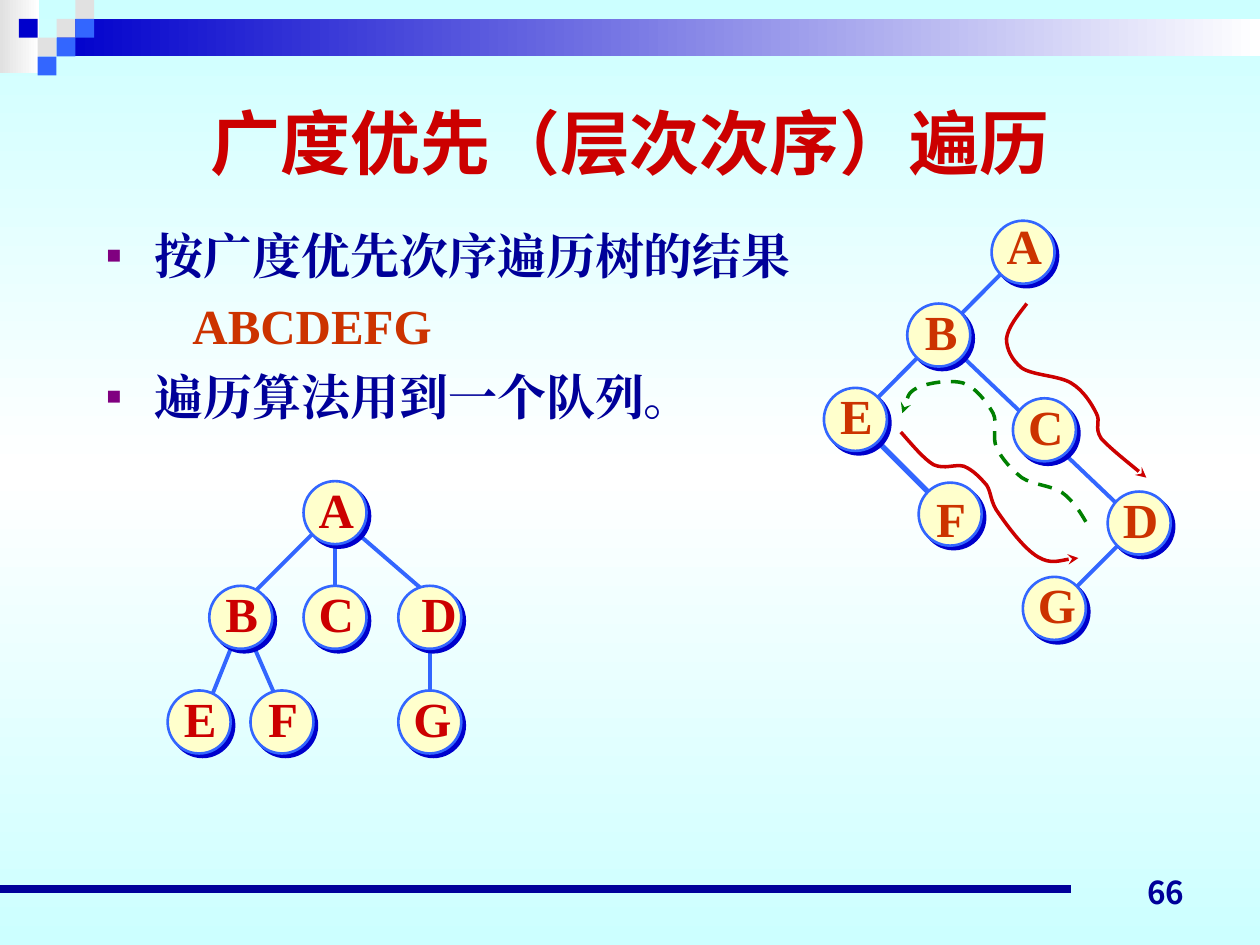
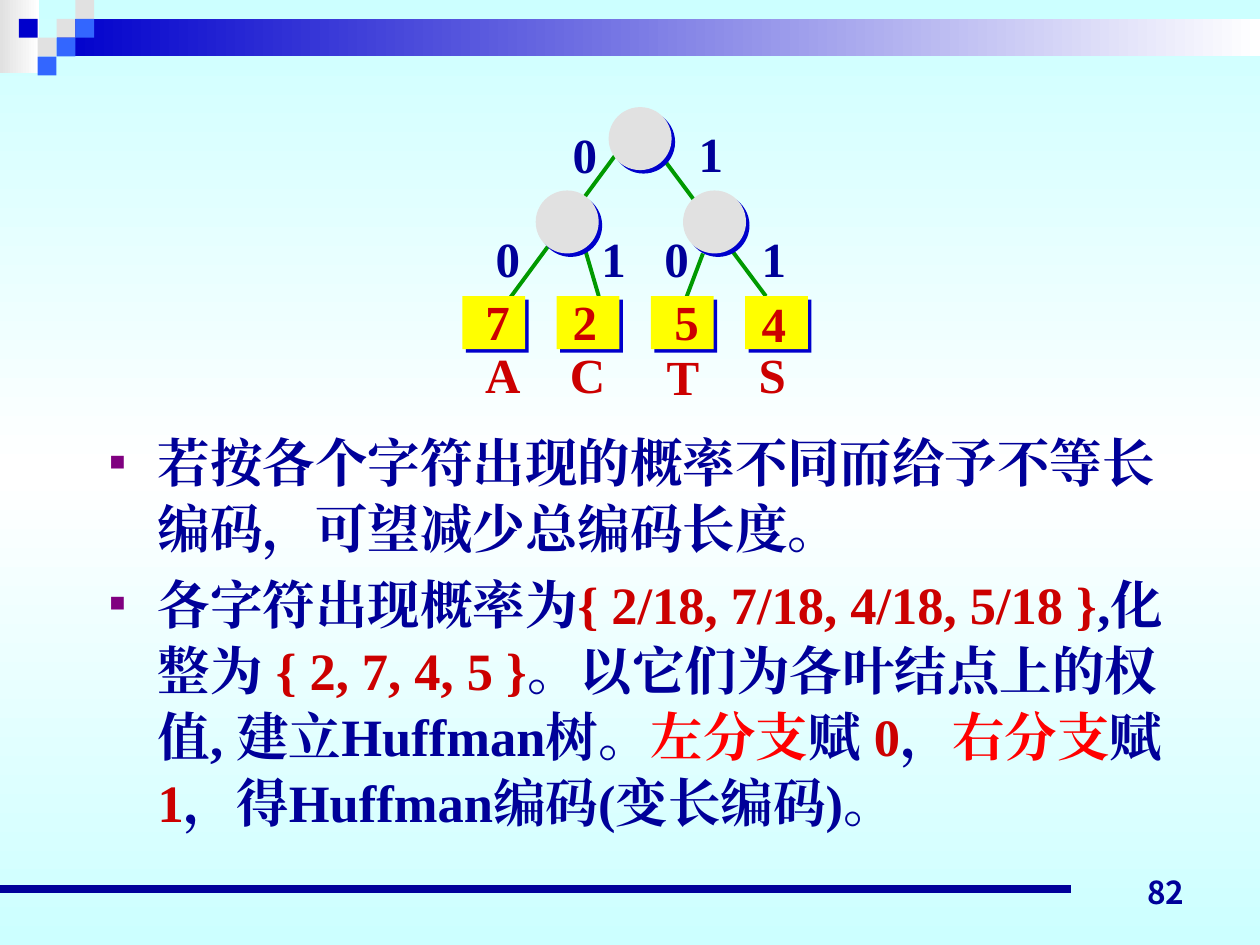
from copy import deepcopy
from dataclasses import dataclass
from typing import NamedTuple

from lxml.etree import SubElement
from pptx import Presentation
from pptx.dml.color import RGBColor
from pptx.enum.dml import MSO_LINE_DASH_STYLE as Dash
from pptx.enum.shapes import MSO_CONNECTOR as Link, MSO_SHAPE as Preset
from pptx.enum.text import MSO_ANCHOR as Anchor, MSO_AUTO_SIZE as AutoSize, PP_ALIGN as Align
from pptx.oxml.ns import qn
from pptx.util import Cm, Pt


@dataclass(frozen=True)
class Theme:
    sans: str = "Noto Sans CJK JP"
    serif: str = "Times New Roman"
    navy: str = "000099"
    blue: str = "0000CC"
    sky: str = "3366FF"
    grey: str = "E1E1E1"
    white: str = "FFFFFF"
    cyan: str = "CCFFFF"
    cream: str = "FFFFCC"
    yellow: str = "FFFF00"
    crimson: str = "CC0000"
    red: str = "FF0000"
    orange: str = "CC3300"
    purple: str = "800080"
    green: str = "009900"
    dark_green: str = "008000"
    title_size: float = 40
    huffman_size: float = 30
    text_size: float = 28
    number_size: float = 18


T = Theme()
NODE = 1.27  # diameter of a tree node, cm
LEAF_HEIGHT = 1.07


class Box(NamedTuple):
    left: float
    top: float
    width: float
    height: float


class Node(NamedTuple):
    """A tree node; dx and dy shift its letter from the centre."""
    label: str
    left: float
    top: float
    dx: float = 0.02
    dy: float = -0.08


class Edge(NamedTuple):
    x1: float
    y1: float
    x2: float
    y2: float
    weight: float = 2.25


class Label(NamedTuple):
    text: str
    x: float
    y: float
    color: str


class Walk(NamedTuple):
    """A curved arrow: a start, then three Bézier points per segment."""
    color: str
    dashed: bool
    points: list[tuple[float, float]]


class Item(NamedTuple):
    runs: list[tuple[str, str]]
    bullet: bool = True


# ---- Drawing helpers ----
def rgb(color: str) -> RGBColor:
    return RGBColor.from_string(color)


def place(box: Box) -> list[Cm]:
    return [Cm(length) for length in box]


def style_run(run, size: float, color: str, font: str = T.serif) -> None:
    run.font.size, run.font.bold, run.font.name = Pt(size), True, font
    run.font.color.rgb = rgb(color)
    SubElement(run._r.get_or_add_rPr(), qn("a:ea"), typeface=font)


def paint_gradient(fill, owner, colors: list[str], angle: float) -> None:
    fill.gradient()
    fill.gradient_angle = angle
    stops = owner.find(".//" + qn("a:gsLst"))
    for _ in colors[2:]:
        stops.append(deepcopy(stops[0]))
    for index, (stop, color) in enumerate(zip(fill.gradient_stops, colors)):
        stop.position = index / (len(colors) - 1)
        stop.color.rgb = rgb(color)


def add_block(slide, preset, box: Box, fill: str, outline: str = "", shadow: bool = False):
    block = slide.shapes.add_shape(preset, *place(box))
    block.shadow.inherit = False
    block.fill.solid()
    block.fill.fore_color.rgb = rgb(fill)
    if outline:
        block.line.color.rgb = rgb(outline)
        block.line.width = Pt(1.5)
    else:
        block.line.fill.background()
    if shadow:
        effects = block._element.spPr.find(qn("a:effectLst"))
        outer = SubElement(effects, qn("a:outerShdw"), blurRad="0", dist=str(Pt(2.8)),
                           dir="2700000", algn="ctr", rotWithShape="0")
        SubElement(outer, qn("a:srgbClr"), val=T.blue)
    return block


def add_edge(slide, edge: Edge, color: str) -> None:
    ends = [Cm(length) for length in edge[:4]]
    branch = slide.shapes.add_connector(Link.STRAIGHT, *ends)
    branch.line.color.rgb = rgb(color)
    branch.line.width = Pt(edge.weight)
    SubElement(branch._element.spPr, qn("a:effectLst"))


def add_label(slide, label: Label) -> None:
    width, height = 1.2, 1.45
    box = Box(label.x - width / 2, label.y - height / 2, width, height)
    frame = slide.shapes.add_textbox(*place(box)).text_frame
    frame.word_wrap, frame.auto_size = False, AutoSize.SHAPE_TO_FIT_TEXT
    frame.vertical_anchor = Anchor.MIDDLE
    frame.text = label.text
    frame.paragraphs[0].alignment = Align.CENTER
    style_run(frame.paragraphs[0].runs[0], T.text_size, label.color)


def add_tree(slide, nodes: list[Node], edges: list[Edge], color: str) -> None:
    for edge in edges:
        add_edge(slide, edge, T.sky)
    for node in nodes:
        add_block(slide, Preset.OVAL, Box(node.left, node.top, NODE, NODE), T.cream, T.sky, True)
        add_label(slide, Label(node.label, node.left + NODE / 2 + node.dx,
                               node.top + NODE / 2 + node.dy, color))


def add_walk(slide, walk: Walk) -> None:
    start, *rest = [(Cm(x), Cm(y)) for x, y in walk.points]
    builder = slide.shapes.build_freeform(*start)
    builder.add_line_segments(rest, close=False)
    arrow = builder.convert_to_shape()
    arrow.shadow.inherit = False
    arrow.fill.background()
    arrow.line.color.rgb = rgb(walk.color)
    arrow.line.width = Pt(2)
    if walk.dashed:
        arrow.line.dash_style = Dash.DASH
    SubElement(arrow.line._get_or_add_ln(), qn("a:tailEnd"), type="stealth")
    # Turn every three straight steps into one cubic segment
    outline = arrow._element.find(".//" + qn("a:path"))
    steps = outline.findall(qn("a:lnTo"))
    for first in range(0, len(steps), 3):
        curve = SubElement(outline, qn("a:cubicBezTo"))
        for step in steps[first:first + 3]:
            curve.append(step[0])
            outline.remove(step)


def add_items(slide, box: Box, items: list[Item], size: float, gap: float,
              spacing: float = 1.0) -> None:
    frame = slide.shapes.add_textbox(*place(box)).text_frame
    frame.word_wrap = True
    for index, item in enumerate(items):
        paragraph = frame.add_paragraph() if index else frame.paragraphs[0]
        props = paragraph._p.get_or_add_pPr()
        if item.bullet:
            props.set("marL", str(Cm(0.97)))
            props.set("indent", str(Cm(-0.97)))
            SubElement(SubElement(props, qn("a:buClr")), qn("a:srgbClr"), val=T.purple)
            SubElement(props, qn("a:buSzPct"), val="50000")
            SubElement(props, qn("a:buFont"), typeface=T.serif)
            SubElement(props, qn("a:buChar"), char="■")
        else:
            props.set("marL", str(Cm(1.73)))
        paragraph.line_spacing = spacing
        if index:
            paragraph.space_before = Pt(gap)
        for text, color in item.runs:
            run = paragraph.add_run()
            run.text = text
            style_run(run, size, color)


# ---- Shared frame: header band, checker squares, footer ----
CHECKER = [(3, 1, T.grey), (4, 0, T.grey), (4, 1, T.sky), (2, 2, T.grey),
           (1, 1, T.blue), (3, 2, T.sky), (2, 3, T.sky)]
SQUARE = 0.38


def add_frame(slide, number: int) -> None:
    for box, color in [(Box(0, 0, 0.79, 1.47), T.grey), (Box(1.14, 0.38, 24.26, 0.76), T.blue)]:
        band = add_block(slide, Preset.RECTANGLE, box, color)
        paint_gradient(band.fill, band._element, [color, T.white], 0)
    for column, row, color in CHECKER:
        box = Box(column * SQUARE, row * SQUARE, SQUARE, SQUARE)
        add_block(slide, Preset.RECTANGLE, box, color)
    add_edge(slide, Edge(0, 17.93, 21.59, 17.93, 4.5), T.navy)
    frame = slide.shapes.add_textbox(*place(Box(18.21, 17.22, 5.92, 1.27))).text_frame
    frame.word_wrap, frame.vertical_anchor = True, Anchor.BOTTOM
    frame.text = str(number)
    frame.paragraphs[0].alignment = Align.RIGHT
    style_run(frame.paragraphs[0].runs[0], T.number_size, T.navy, T.sans)


# ---- Slide 66: breadth-first traversal ----
BINARY_NODES = [
    Node("A", 19.99, 4.45, dy=-0.14), Node("B", 18.29, 6.12, dx=0.05), Node("C", 20.42, 8.03),
    Node("E", 16.61, 7.82), Node("D", 22.33, 9.91), Node("G", 20.62, 11.63),
    Node("F", 18.52, 9.73, dy=0.08)]
BINARY_EDGES = [
    Edge(22.73, 10.8, 21.46, 12.07), Edge(17.45, 8.66, 18.72, 9.93, 3),
    Edge(20.42, 5.28, 17.45, 8.26), Edge(19.35, 7.14, 22.73, 10.36)]
ROWS = [9.7 + 2.11 * level for level in range(3)]
TREE_NODES = [
    Node("A", 6.12, ROWS[0]), Node("B", 4.22, ROWS[1]), Node("C", 6.12, ROWS[1]),
    Node("D", 8.03, ROWS[1], dx=0.18), Node("E", 3.38, ROWS[2]), Node("F", 5.05, ROWS[2]),
    Node("G", 8.03, ROWS[2])]
TREE_EDGES = [
    Edge(8.66, 12.88, 8.66, 14.15), Edge(5.05, 12.88, 5.69, 14.35),
    Edge(4.65, 13.08, 4.22, 14.15), Edge(7.19, 10.74, 8.66, 12.01),
    Edge(6.76, 10.97, 6.76, 12.01), Edge(6.32, 10.74, 5.05, 12.01)]
WALKS = [
    Walk(T.crimson, False, [
        (20.7, 6.12), (20.5, 6.38), (20.32, 6.6), (20.29, 6.83), (20.29, 7.04), (20.4, 7.26),
        (20.6, 7.42), (20.83, 7.57), (21.34, 7.57), (21.59, 7.72), (21.84, 7.87), (22, 8.13),
        (22.1, 8.33), (22.2, 8.51), (22.05, 8.61), (22.2, 8.84), (22.38, 9.04), (22.96, 9.5),
        (23.11, 9.63)]),
    Walk(T.dark_green, True, [
        (21.89, 10.52), (21.77, 10.31), (21.62, 10.08), (21.41, 9.93), (21.18, 9.78),
        (20.83, 9.78), (20.6, 9.63), (20.4, 9.47), (20.19, 9.25), (20.09, 9.02), (19.99, 8.81),
        (20.12, 8.53), (20.02, 8.33), (19.89, 8.1), (19.66, 7.8), (19.41, 7.72), (19.15, 7.65),
        (18.69, 7.72), (18.49, 7.82), (18.29, 7.92), (18.24, 8.23), (18.19, 8.33)]),
    Walk(T.crimson, False, [
        (18.16, 8.71), (18.39, 8.97), (18.62, 9.25), (18.82, 9.37), (19.05, 9.47), (19.25, 9.35),
        (19.43, 9.4), (19.61, 9.47), (19.76, 9.63), (19.89, 9.78), (19.99, 9.93), (19.96, 10.13),
        (20.14, 10.36), (20.32, 10.62), (20.65, 11.07), (20.93, 11.23), (21.18, 11.38),
        (21.59, 11.25), (21.74, 11.25)])]


def build_traversal(slide) -> None:
    add_frame(slide, 66)
    title = slide.shapes.title
    title.left, title.top, title.width, title.height = place(Box(1.27, 1.27, 22.86, 3.15))
    title.text_frame.text = "广度优先（层次次序）遍历"
    title.text_frame.vertical_anchor = Anchor.MIDDLE
    title.text_frame.paragraphs[0].alignment = Align.CENTER
    style_run(title.text_frame.paragraphs[0].runs[0], T.title_size, T.crimson, T.sans)
    add_items(slide, Box(1.9, 4.42, 21.21, 13.31), [
        Item([("按广度优先次序遍历树的结果", T.navy)]),
        Item([("ABCDEFG", T.orange)], bullet=False),
        Item([("遍历算法用到一个队列。", T.navy)])], T.text_size, 6.7)
    add_tree(slide, BINARY_NODES, BINARY_EDGES, T.orange)
    for walk in WALKS:
        add_walk(slide, walk)
    add_tree(slide, TREE_NODES, TREE_EDGES, T.crimson)


# ---- Slide 82: Huffman tree ----
HUFFMAN_EDGES = [
    Edge(14.17, 5.11, 13.77, 6.17), Edge(12.9, 2.57, 15.44, 5.97),
    Edge(11.63, 4.47, 12.07, 5.97), Edge(12.5, 3, 10.16, 6.17)]
INNER_NODES = [(12.27, 2.16), (10.8, 3.84), (13.77, 3.84)]
LEAF_LEFTS = [9.32 + 1.9 * index for index in range(4)]
BITS = [("0", 11.79, 3.11), ("1", 14.33, 3.09), ("0", 13.64, 5.19),
        ("0", 10.24, 5.19), ("1", 15.6, 5.19), ("1", 12.37, 5.19)]
WEIGHTS = [("7", 10.03, 6.46), ("2", 11.79, 6.46), ("5", 13.84, 6.46), ("4", 15.6, 6.52)]
LETTERS = [("A", 10.13, 7.53), ("C", 11.84, 7.53), ("T", 13.77, 7.58), ("S", 15.57, 7.53)]


def build_huffman(slide) -> None:
    add_frame(slide, 82)
    add_items(slide, Box(1.96, 8.48, 22.43, 8.53), [
        Item([("若按各个字符出现的概率不同而给予不等长编码，可望减少总编码长度。", T.navy)]),
        Item([("各字符出现概率为", T.navy), ("{ 2/18, 7/18, 4/18, 5/18 }", T.crimson),
              (",化整为 ", T.navy), ("{ 2, 7, 4, 5 }", T.crimson),
              ("。以它们为各叶结点上的权值, 建立Huffman树。", T.navy), ("左分支", T.red),
              ("赋 ", T.navy), ("0", T.crimson), ("，", T.navy), ("右分支", T.red),
              ("赋 ", T.navy), ("1", T.crimson), ("，得Huffman编码(变长编码)。", T.navy)]),
    ], T.huffman_size, 5.4, 1.05)
    for edge in HUFFMAN_EDGES:
        add_edge(slide, edge, T.green)
    for left, top in INNER_NODES:
        add_block(slide, Preset.OVAL, Box(left, top, NODE, NODE), T.grey, shadow=True)
    for left in LEAF_LEFTS:
        add_block(slide, Preset.RECTANGLE, Box(left, 5.97, NODE, LEAF_HEIGHT), T.yellow,
                  shadow=True)
    for labels, color in [(WEIGHTS, T.crimson), (BITS, T.navy), (LETTERS, T.crimson)]:
        for text, x, y in labels:
            add_label(slide, Label(text, x, y, color))


def main() -> None:
    deck = Presentation()
    deck.slide_width, deck.slide_height = Cm(25.4), Cm(19.05)
    master = deck.slide_master
    paint_gradient(master.background.fill, master.element, [T.cyan, T.white, T.cyan], 270)
    title_only, blank = deck.slide_layouts[5], deck.slide_layouts[6]
    build_traversal(deck.slides.add_slide(title_only))
    build_huffman(deck.slides.add_slide(blank))
    deck.save("out.pptx")


if __name__ == "__main__":
    main()
